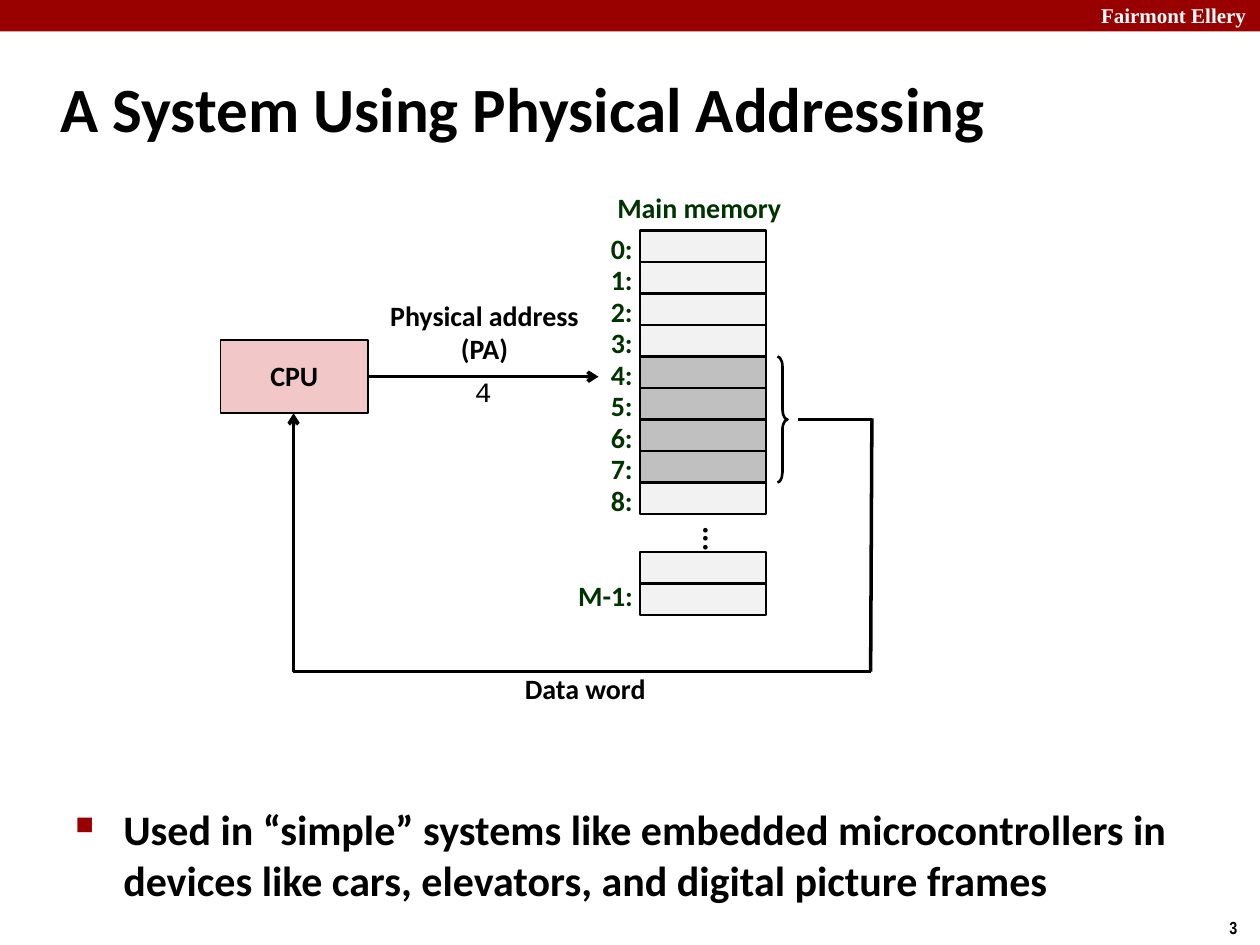
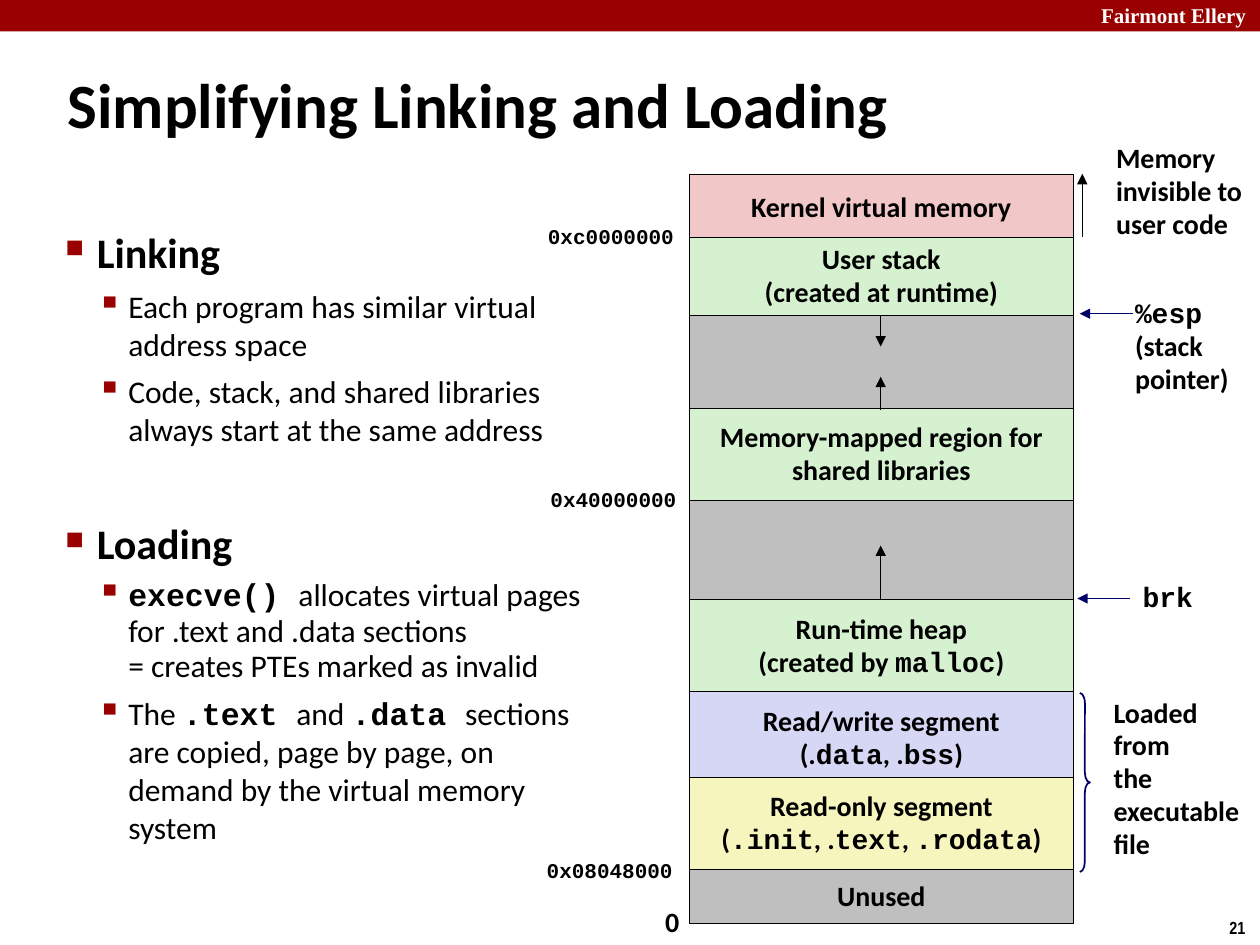
from lxml import etree
from pptx import Presentation
from pptx.dml.color import RGBColor
from pptx.enum.shapes import MSO_CONNECTOR, MSO_SHAPE
from pptx.enum.text import MSO_ANCHOR, MSO_AUTO_SIZE, PP_ALIGN
from pptx.oxml.ns import qn
from pptx.util import Inches, Pt

RECTANGLE, BRACE = MSO_SHAPE.RECTANGLE, MSO_SHAPE.RIGHT_BRACE
STRAIGHT, ELBOW = MSO_CONNECTOR.STRAIGHT, MSO_CONNECTOR.ELBOW
LEFT, CENTER = PP_ALIGN.LEFT, PP_ALIGN.CENTER
TOP, MIDDLE = MSO_ANCHOR.TOP, MSO_ANCHOR.MIDDLE
FIT_SHAPE, NO_FIT = MSO_AUTO_SIZE.SHAPE_TO_FIT_TEXT, MSO_AUTO_SIZE.NONE

SANS, MONO, SERIF, NARROW = "Calibri", "Courier New", "Times New Roman", "Arial Narrow"
COLORS = {
    "black": "000000", "white": "FFFFFF", "red": "990000", "navy": "000066",
    "label": "003300", "cell": "F2F2F2", "word": "C0C0C0", "gap": "BFBFBF",
    "pink": "F1C7C7", "green": "D5F1CF", "lilac": "D6D6F5", "yellow": "F6F5BD",
}

# ---- Content: text between backticks is set in the code font ----
HEADER = "Fairmont Ellery"

ADDRESSING_TITLE = "A System Using Physical Addressing"
ADDRESSING_POINT = ("Used in “simple” systems like embedded microcontrollers in "
                    "devices like cars, elevators, and digital picture frames")
CELL_COUNT, WORD_CELLS = 9, range(4, 8)

LINKING_TITLE = "Simplifying Linking and Loading"
# text, level, space before, line spacing
LINKING_POINTS = [
    ("Linking", 0, 12.5, 1),
    ("Each program has similar virtual address space", 1, 5.6, 1),
    ("Code, stack, and shared libraries always start at the same address", 1, 5.6, 1),
    ("Loading", 0, 40, 1),
    ("`execve() `allocates virtual pages for .text and .data sections \n"
     "= creates PTEs marked as invalid", 1, 5.6, 0.94),
    ("The `.text `and `.data `sections are copied, page by page, on demand "
     "by the virtual memory system", 1, 5.6, 1),
]
# top, height, colour, lines
REGIONS = [
    (1.38, 0.53, "pink", ["Kernel virtual memory"]),
    (2.25, 0.99, "gap", []),
    (1.88, 0.62, "green", ["User stack", "(created at runtime)"]),
    (3.24, 0.73, "green", ["Memory-mapped region for", "shared libraries"]),
    (3.97, 0.79, "gap", []),
    (4.76, 0.73, "green", ["Run-time heap", "(created by `malloc`)"]),
    (5.49, 0.73, "lilac", ["Read/write segment", "(.`data`, .`bss`)"]),
    (6.17, 0.73, "yellow", ["Read-only segment", "(`.init`, .`text`, `.rodata`)"]),
    (6.90, 0.43, "gap", ["Unused"]),
]
ADDRESSES = [("0xc0000000", 4.25, 1.74), ("0x40000000", 4.27, 3.83),
             ("0x08048000", 4.24, 6.77)]
# lines, box
SIDE_NOTES = [
    (["Memory", "invisible to", "user code"], (8.76, 1.08, 1.26, 0.89)),
    (["`%esp`", "(stack", "pointer)"], (8.91, 2.31, 0.95, 0.88)),
    (["`brk`"], (8.97, 4.56, 0.6, 0.36)),
    (["Loaded", "from", "the", "executable", "file"], (8.74, 5.48, 1.26, 1.42)),
    (["0"], (5.18, 7.14, 0.31, 0.37)),
]
# start, end, colour
REGION_ARROWS = [
    ((6.99, 2.5), (6.99, 2.75), "black"),
    ((6.99, 3.25), (6.99, 2.99), "black"),
    ((6.99, 4.75), (6.99, 4.33), "black"),
    ((8.59, 1.88), (8.59, 1.38), "black"),
    ((8.99, 2.49), (8.57, 2.49), "navy"),
    ((8.97, 4.75), (8.55, 4.75), "navy"),
]


# ---- Helpers ----
def color(name):
    return RGBColor.from_string(COLORS[name])


def add_runs(paragraph, text, size, font, ink, bold):
    for index, part in enumerate(text.split("`")):
        is_code = index % 2 == 1
        for line_index, line in enumerate(part.split("\n")):
            if line_index:
                paragraph.add_line_break()
            if line:
                run = paragraph.add_run()
                run.text = line
                run.font.name = MONO if is_code else font
                run.font.size = Pt(size)
                run.font.bold = bold or is_code
                run.font.color.rgb = color(ink)


def write(shape, lines, size=16, font=SANS, ink="black", bold=True, align=LEFT,
          anchor=TOP, spacing=None, before=None, wrap=False, fit=NO_FIT):
    frame = shape.text_frame
    frame.word_wrap, frame.auto_size, frame.vertical_anchor = wrap, fit, anchor
    for index, line in enumerate(lines):
        paragraph = frame.add_paragraph() if index else frame.paragraphs[0]
        paragraph.alignment = align
        if spacing:
            paragraph.line_spacing = spacing
        if before:
            paragraph.space_before = Pt(before)
        add_runs(paragraph, line, size, font, ink, bold)
    return shape


def add_text(slide, lines, box, **text_format):
    text_box = slide.shapes.add_textbox(*map(Inches, box))
    return write(text_box, lines, **{"fit": FIT_SHAPE, **text_format})


def add_box(slide, box, fill=None, line="black", width=1.5, kind=RECTANGLE):
    shape = slide.shapes.add_shape(kind, *map(Inches, box))
    shape.shadow.inherit = False
    if fill:
        shape.fill.solid()
        shape.fill.fore_color.rgb = color(fill)
    else:
        shape.fill.background()
    if line:
        shape.line.color.rgb = color(line)
        shape.line.width = Pt(width)
    else:
        shape.line.fill.background()
    return shape


def add_brace(slide, box, **line_format):
    brace = add_box(slide, box, kind=BRACE, **line_format)
    brace.adjustments[0], brace.adjustments[1] = 1, 0.5


def add_line(slide, start, end, ink="black", width=2, head=None, kind=STRAIGHT):
    connector = slide.shapes.add_connector(kind, *map(Inches, (*start, *end)))
    connector.line.color.rgb = color(ink)
    connector.line.width = Pt(width)
    properties = connector._element.spPr
    if head:
        etree.SubElement(properties.find(qn("a:ln")), qn("a:tailEnd"), type=head)
    etree.SubElement(properties, qn("a:effectLst"))
    return connector


def add_bullets(slide, points, box, indents):
    text_box = add_text(slide, [], box, wrap=True, fit=NO_FIT)
    frame = text_box.text_frame
    for index, (text, level, before, spacing) in enumerate(points):
        paragraph = frame.add_paragraph() if index else frame.paragraphs[0]
        paragraph.level = level
        paragraph.space_before = Pt(before)
        paragraph.line_spacing = spacing
        add_runs(paragraph, text, 18 if level else 24, SANS, "black", level == 0)
        margin, hanging = indents[level]
        properties = paragraph._p.get_or_add_pPr()
        properties.set("marL", str(Inches(margin)))
        properties.set("indent", str(-Inches(hanging)))
        bullet_color = etree.SubElement(properties, qn("a:buClr"))
        etree.SubElement(bullet_color, qn("a:srgbClr"), val=COLORS["red"])
        etree.SubElement(properties, qn("a:buSzPct"), val="110000" if level else "60000")
        etree.SubElement(properties, qn("a:buChar"), char="▪" if level else "■")


def add_slide(presentation, title, title_box, number):
    slide = presentation.slides.add_slide(presentation.slide_layouts[6])
    add_box(slide, (0, 0, 10, 0.25), fill="red", line=None)
    add_text(slide, [HEADER], (8.64, -0.03, 1.43, 0.3), size=12, font=SERIF, ink="white")
    add_text(slide, [str(number)], (9.66, 7.23, 0.34, 0.27), size=10, font=NARROW)
    add_text(slide, [title], title_box, size=36, anchor=MIDDLE, wrap=True, fit=NO_FIT)
    return slide


presentation = Presentation()
presentation.slide_width, presentation.slide_height = Inches(10), Inches(7.5)

# ---- Physical addressing ----
slide = add_slide(presentation, ADDRESSING_TITLE, (0.38, 0.42, 9.53, 0.86), 3)
add_bullets(slide, [(ADDRESSING_POINT, 0, 4.8, 1)], (0.5, 6.33, 9.09, 0.96),
            [(0.38, 0.38)])

# Main memory
CELL_LEFT, CELL_TOP, CELL_HEIGHT = 5.08, 1.83, 0.25
label_format = {"ink": "label", "spacing": 0.88, "before": 6}
caption_format = {"align": CENTER, "anchor": MIDDLE, "spacing": 0.98}
add_text(slide, ["Main memory"], (4.79, 1.5, 1.52, 0.33), align=CENTER, **label_format)
for index in range(CELL_COUNT):
    top = CELL_TOP + index * CELL_HEIGHT
    add_box(slide, (CELL_LEFT, top, 1, CELL_HEIGHT),
            fill="word" if index in WORD_CELLS else "cell")
    add_text(slide, [f"{index}:"], (4.75, top - 0.01, 0.37, 0.33), **label_format)
for top in (4.38, 4.63):
    add_box(slide, (CELL_LEFT, top, 1, CELL_HEIGHT), fill="cell")
add_text(slide, ["M-1:"], (4.49, 4.58, 0.64, 0.33), **label_format)
dots = add_text(slide, ["..."], (5.17, 4.08, 1, 0.25), size=18, fit=NO_FIT,
                **caption_format)
dots.text_frame._txBody.bodyPr.set("vert", "eaVert")

# Processor, address and data paths
write(add_box(slide, (1.75, 2.7, 1.17, 0.58), fill="pink", width=1), ["CPU"],
      **caption_format)
add_text(slide, ["Physical address", "(PA)"], (2.99, 2.33, 1.71, 0.63), **caption_format)
add_text(slide, ["4"], (3.67, 2.92, 0.34, 0.37), font=MONO, bold=False)
add_text(slide, ["Data word"], (4.06, 5.29, 1.17, 0.37), **caption_format)
add_brace(slide, (6.17, 2.83, 0.08, 1))
add_line(slide, (2.92, 2.99), (4.75, 2.99), head="arrow")
add_line(slide, (6.33, 3.33), (6.92, 3.33))
add_line(slide, (6.92, 3.32), (6.91, 5.33))
# The elbow is turned half round: it runs left along the bottom, then up to the CPU
return_path = add_line(slide, (2.33, 3.28), (6.91, 5.33), head="arrow", kind=ELBOW)
geometry = return_path._element.spPr
geometry.find(qn("a:xfrm")).set("rot", "10800000")
adjustments = geometry.find(qn("a:prstGeom")).find(qn("a:avLst"))
etree.SubElement(adjustments, qn("a:gd"), name="adj1", fmla="val 100000")

# ---- Linking and loading ----
slide = add_slide(presentation, LINKING_TITLE, (0.44, 0.39, 9.06, 0.86), 21)
add_bullets(slide, LINKING_POINTS, (0.42, 1.75, 4.33, 5.23), [(0.25, 0.25), (0.5, 0.25)])

# Address space
for top, height, fill, lines in REGIONS:
    region = add_box(slide, (5.47, top, 3.05, height), fill=fill, width=0.25)
    write(region, lines, **caption_format)
for start, end, ink in REGION_ARROWS:
    add_line(slide, start, end, ink=ink, width=0.25, head="triangle")
add_brace(slide, (8.57, 5.5, 0.08, 1.42), line="navy", width=1)

# Addresses and notes beside it
for address, left, top in ADDRESSES:
    add_text(slide, [address], (left, top, 1.22, 0.29), size=12, font=MONO, spacing=0.94)
for lines, box in SIDE_NOTES:
    add_text(slide, lines, box, spacing=0.98)

presentation.save("out.pptx")
